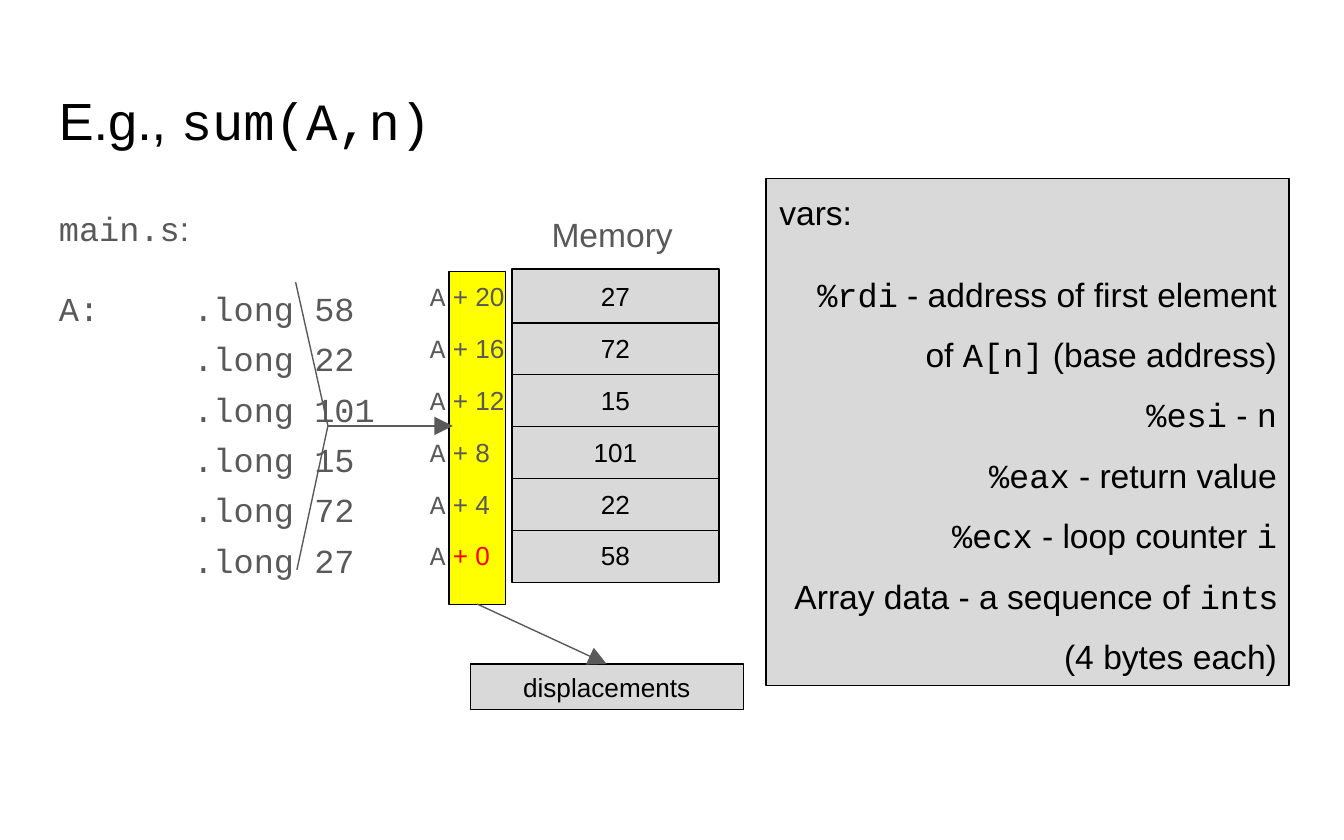
import pptx
import pptx.util
import pptx.dml.color
import pptx.enum.shapes
import pptx.enum.text
import pptx.oxml
import pptx.oxml.ns
from lxml import etree

Pt = pptx.util.Pt
RGB = pptx.dml.color.RGBColor.from_string
ALIGN = pptx.enum.text.PP_ALIGN
ANCHOR = pptx.enum.text.MSO_ANCHOR
RECT = pptx.enum.shapes.MSO_SHAPE.RECTANGLE
qn = pptx.oxml.ns.qn

COLORS = {"black": "000000", "text": "595959", "box": "D9D9D9",
          "highlight": "FFFF00", "offset": "FF0000"}
SANS, MONO = "Arial", "Courier New"

prs = pptx.Presentation()
prs.slide_width, prs.slide_height = Pt(720), Pt(450)
slide = prs.slides.add_slide(prs.slide_layouts[6])
shapes = slide.shapes


def add_text(sp, paragraphs, size, color="black", align=ALIGN.LEFT,
             anchor=ANCHOR.TOP, spacing=None, tab=None):
    """Each paragraph is a list of (text, font) or (text, font, color) runs."""
    tf = sp.text_frame
    tf.word_wrap = True
    tf.vertical_anchor = anchor
    tf.margin_left = tf.margin_right = tf.margin_top = tf.margin_bottom = Pt(7.2)
    for i, runs in enumerate(paragraphs):
        p = tf.paragraphs[0] if i == 0 else tf.add_paragraph()
        p.alignment = align
        if spacing:
            p.line_spacing = spacing
        if tab:
            tabs = etree.SubElement(p._p.get_or_add_pPr(), qn("a:tabLst"))
            etree.SubElement(tabs, qn("a:tab"), pos=str(Pt(tab)), algn="l")
        p.font.size = Pt(size)
        for text, font, *run_color in runs:
            r = p.add_run()
            r.text = text
            r.font.name = font
            r.font.color.rgb = RGB(COLORS[run_color[0] if run_color else color])
    return tf


def add_box(x, y, w, h, fill="box"):
    sp = shapes.add_shape(RECT, Pt(x), Pt(y), Pt(w), Pt(h))
    sp.shadow.inherit = False
    sp.fill.solid()
    sp.fill.fore_color.rgb = RGB(COLORS[fill])
    sp.line.color.rgb = RGB(COLORS["black"])
    sp.line.width = Pt(0.75)
    return sp


# Title
sp = shapes.add_textbox(Pt(24.5), Pt(38.9), Pt(671), Pt(50.4))
add_text(sp, [[("E.g., ", SANS), ("sum(A,n)", MONO)]], 28, anchor=ANCHOR.MIDDLE)

# Displacement column, behind the address labels
add_box(240.5, 145.4, 30.2, 178.6, "highlight")

# Assembly listing
values = [58, 22, 101, 15, 72, 27]
listing = [[("main.s", MONO), (":", SANS)]]
for i, value in enumerate(values):
    listing.append([(f"{'A:' if i == 0 else ''}\t.long {value}", MONO)])
sp = shapes.add_textbox(Pt(24.5), Pt(100.8), Pt(205), Pt(298.8))
tf = add_text(sp, listing, 18, "text", spacing=1.25, tab=72)
tf.paragraphs[0].line_spacing = 1.15
tf.paragraphs[0].space_after = Pt(16)

# Memory cells with their addresses, highest address on top
sp = shapes.add_textbox(Pt(270.7), Pt(107.3), Pt(114.5), Pt(28.8))
add_text(sp, [[("Memory", SANS)]], 18, "text", ALIGN.CENTER)
for i, value in enumerate(values):
    y = 283.2 - 27.8 * i
    sp = add_box(274.3, y, 110.9, 28.8)
    add_text(sp, [[(str(value), SANS)]], 14, align=ALIGN.CENTER, anchor=ANCHOR.MIDDLE)
    sp = shapes.add_textbox(Pt(223.2), Pt(y - 0.7), Pt(67), Pt(30.2))
    add_text(sp, [[("A", MONO), (f" + {4 * i}", SANS, "text" if i else "offset")]],
             14, "text", anchor=ANCHOR.MIDDLE)

# Variables panel
sp = add_box(410.4, 95.8, 280.1, 271.4)
add_text(sp, [[("vars:", SANS)]], 18)
sp = shapes.add_textbox(Pt(417.6), Pt(128.5), Pt(273.6), Pt(235))
add_text(sp, [
    [("%rdi", MONO), (" - address of first element of ", SANS), ("A[n]", MONO),
     (" (base address)", SANS)],
    [("%esi", MONO), (" - ", SANS), ("n", MONO)],
    [("%eax", MONO), (" - return value", SANS)],
    [("%ecx", MONO), (" - loop counter ", SANS), ("i", MONO)],
    [("Array data - a sequence of ", SANS), ("int", MONO), ("s (4 bytes each)", SANS)],
], 18, align=ALIGN.RIGHT, spacing=1.5)

# Displacements caption
sp = add_box(252, 355.7, 146.2, 24.5)
add_text(sp, [[("displacements", SANS)]], 14, align=ALIGN.CENTER, anchor=ANCHOR.MIDDLE)

# Bracket around the listed values
fb = shapes.build_freeform(Pt(158.4), Pt(151.2))
fb.add_line_segments([(Pt(175.7), Pt(228.2)), (Pt(159.1), Pt(305.3))], close=False)
sp = fb.convert_to_shape()
sp.shadow.inherit = False
sp.fill.background()
sp.line.color.rgb = RGB(COLORS["text"])
sp.line.width = Pt(0.75)

# Arrows: listing to memory, displacement column to caption
for x1, y1, x2, y2 in [(175.7, 228.2, 242.6, 228.2), (255.6, 323.6, 325, 355.7)]:
    sp = shapes.add_connector(pptx.enum.shapes.MSO_CONNECTOR.STRAIGHT,
                              Pt(x1), Pt(y1), Pt(x2), Pt(y2))
    sp.line.color.rgb = RGB(COLORS["text"])
    sp.line.width = Pt(0.75)
    etree.SubElement(sp.line._get_or_add_ln(), qn("a:tailEnd"),
                     type="triangle", w="lg", len="lg")
    etree.SubElement(sp._element.spPr, qn("a:effectLst"))

prs.save("out.pptx")
